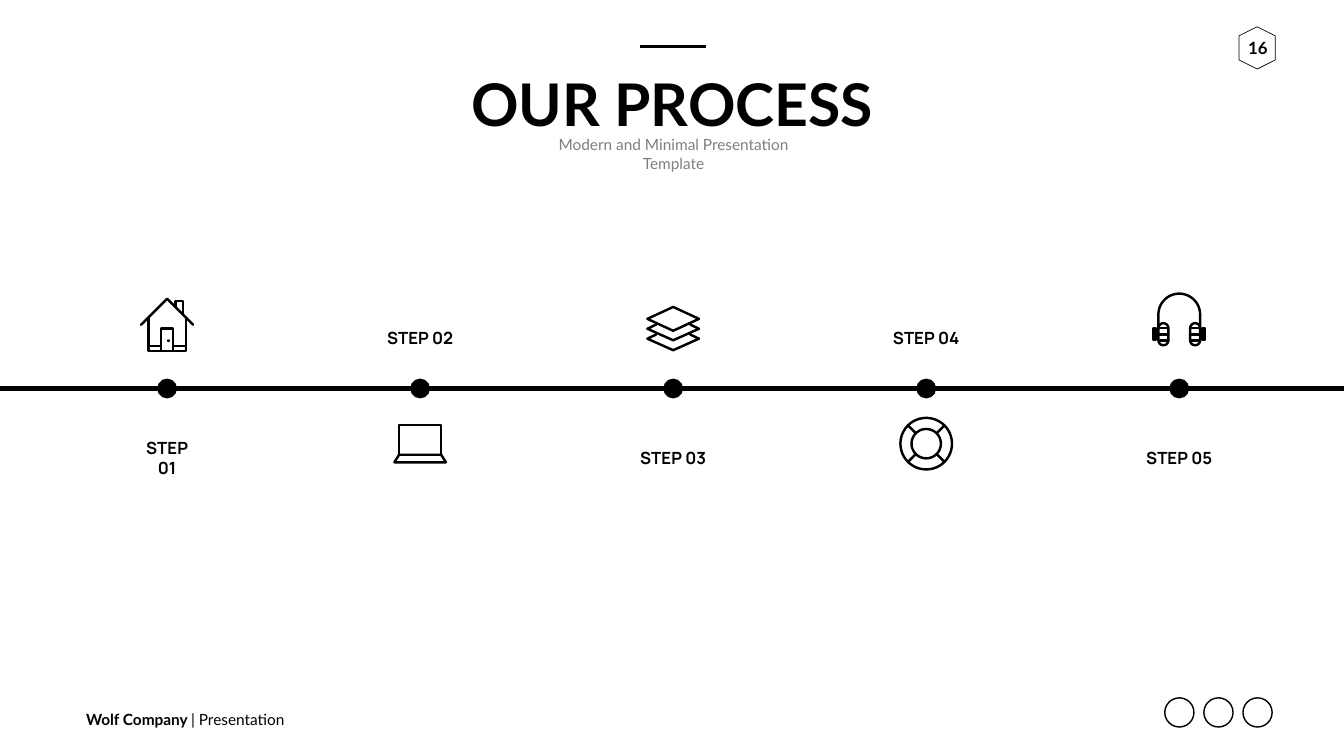
from dataclasses import dataclass
from math import cos, pi, sin
from typing import Callable

from lxml.etree import SubElement
from pptx import Presentation
from pptx.dml.color import RGBColor
from pptx.enum.shapes import MSO_CONNECTOR, MSO_SHAPE
from pptx.enum.text import MSO_ANCHOR, PP_ALIGN
from pptx.oxml.ns import qn
from pptx.util import Cm, Pt

COLORS = {"ink": "000000", "muted": "7F7F7F"}
SLIDE_WIDTH, SLIDE_HEIGHT = 67.72, 38.1
LINE_Y = 19.58
FIRST_STEP_X, STEP_GAP = 8.42, 12.75
LABEL_ABOVE_Y, LABEL_BELOW_Y = 17.02, 23.09
DOT_SIZE = 1.0
ICON_STROKE = 3.5

Point = tuple[float, float]


@dataclass(frozen=True)
class Stroke:
    """One part of an icon, in cm from the icon's centre."""
    points: list[Point]
    closed: bool = False


@dataclass(frozen=True)
class TextStyle:
    size: float
    font: str = "Lato"
    bold: bool = False
    color: str = "ink"


@dataclass(frozen=True)
class Step:
    label: str
    label_width: float
    icon_y: float
    icon: Callable[[], list[Stroke]]


def color(name: str) -> RGBColor:
    return RGBColor.from_string(COLORS[name])


# Icon geometry
def arc(x: float, y: float, radius: float, start: float, end: float) -> list[Point]:
    count = 48
    angles = [start + (end - start) * i / count for i in range(count + 1)]
    return [(x + radius * cos(a), y + radius * sin(a)) for a in angles]


def circle(x: float, y: float, radius: float) -> Stroke:
    return Stroke(arc(x, y, radius, 0, 2 * pi), True)


def box(left: float, top: float, right: float, bottom: float) -> Stroke:
    return Stroke([(left, top), (right, top), (right, bottom), (left, bottom)], True)


def house() -> list[Stroke]:
    return [
        Stroke([(-1.31, 0), (0, -1.31), (1.31, 0)]),
        Stroke([(-0.94, -0.36), (-0.94, 1.32), (0.94, 1.32), (0.94, -0.36)]),
        Stroke([(0.43, -0.9), (0.43, -1.19), (0.81, -1.19), (0.81, -0.52)]),
        box(-0.31, 0.18, 0.31, 1.32),
        Stroke([(-0.94, 1.07), (-0.31, 1.07)]),
        Stroke([(0.31, 1.07), (0.94, 1.07)]),
        circle(0.07, 0.8, 0.01),
    ]


def laptop() -> list[Stroke]:
    base = [(-1.06, 0.56), (1.06, 0.56), (1.3, 0.94), (-1.3, 0.94)]
    return [box(-1.06, -0.94, 1.06, 0.56), Stroke(base, True)]


def layers() -> list[Stroke]:
    top = Stroke([(0, -1.1), (1.3, -0.5), (0, 0.1), (-1.3, -0.5)], True)
    lower = [
        Stroke([(-0.86, y - 0.21), (-1.3, y), (0, y + 0.58), (1.3, y), (0.86, y - 0.21)])
        for y in (0, 0.5)
    ]
    return [top, *lower]


def lifebuoy() -> list[Stroke]:
    spokes = [
        Stroke([(0.52 * x, 0.52 * y), (0.92 * x, 0.92 * y)])
        for x in (-1, 1) for y in (-1, 1)
    ]
    return [circle(0, 0, 1.3), circle(0, 0, 0.74), *spokes]


def headphones() -> list[Stroke]:
    band = [(-1.05, 0.4), *arc(0, -0.24, 1.05, pi, 2 * pi), (1.05, 0.4)]
    strokes = [Stroke(band)]
    for side in (-1, 1):
        x = 0.8 * side
        pad = arc(x, 0.45, 0.25, pi, 2 * pi) + arc(x, 1.06, 0.25, 0, pi)
        strokes.append(Stroke(pad, True))
        strokes += [Stroke([(x - 0.25, y), (x + 0.25, y)]) for y in (0.44, 0.76, 1.07)]
        strokes.append(box(1.17 * side, 0.44, 1.29 * side, 1.06))
    return strokes


STEPS = [
    Step("STEP 01", 3.68, 16.37, house),
    Step("STEP 02", 3.91, 22.36, laptop),
    Step("STEP 03", 3.91, 16.57, layers),
    Step("STEP 04", 3.91, 22.36, lifebuoy),
    Step("STEP 05", 3.91, 16.09, headphones),
]


# Drawing functions
def add_text(slide, left: float, top: float, width: float, height: float,
             runs: list[tuple[str, TextStyle]], align=PP_ALIGN.CENTER,
             wrap: bool = True) -> None:
    text_box = slide.shapes.add_textbox(Cm(left), Cm(top), Cm(width), Cm(height))
    frame = text_box.text_frame
    frame.word_wrap = wrap
    frame.vertical_anchor = MSO_ANCHOR.MIDDLE
    paragraph = frame.paragraphs[0]
    paragraph.alignment = align
    for text, style in runs:
        run = paragraph.add_run()
        run.text = text
        formats = {"name": style.font, "size": Pt(style.size), "bold": style.bold}
        for attribute, value in formats.items():
            setattr(run.font, attribute, value)
        run.font.color.rgb = color(style.color)


def outline(shape, width: float) -> None:
    shape.shadow.inherit = False
    shape.fill.background()
    shape.line.color.rgb = color("ink")
    shape.line.width = Pt(width)


def add_preset(slide, kind, left: float, top: float, width: float, height: float):
    return slide.shapes.add_shape(kind, Cm(left), Cm(top), Cm(width), Cm(height))


def add_rule(slide, left: float, right: float, y: float, width: float) -> None:
    line = slide.shapes.add_connector(
        MSO_CONNECTOR.STRAIGHT, Cm(left), Cm(y), Cm(right), Cm(y))
    line.line.color.rgb = color("ink")
    line.line.width = Pt(width)
    SubElement(line._element.spPr, qn("a:effectLst"))


def add_icon(slide, x: float, y: float, strokes: list[Stroke]) -> None:
    builder = None
    for stroke in strokes:
        first, *rest = [(Cm(x + dx), Cm(y + dy)) for dx, dy in stroke.points]
        if builder is None:
            builder = slide.shapes.build_freeform(*first)
        else:
            builder.move_to(*first)
        builder.add_line_segments(rest, close=stroke.closed)
    shape = builder.convert_to_shape()
    outline(shape, ICON_STROKE)
    line = shape.line._get_or_add_ln()
    line.set("cap", "rnd")
    SubElement(line, qn("a:round"))


def add_step(slide, index: int, step: Step) -> None:
    x = FIRST_STEP_X + index * STEP_GAP
    dot = add_preset(slide, MSO_SHAPE.OVAL, x - DOT_SIZE / 2, LINE_Y - DOT_SIZE / 2,
                     DOT_SIZE, DOT_SIZE)
    dot.shadow.inherit = False
    dot.fill.solid()
    dot.fill.fore_color.rgb = color("ink")
    dot.line.fill.background()
    add_icon(slide, x, step.icon_y, step.icon())
    label_y = LABEL_ABOVE_Y if index % 2 else LABEL_BELOW_Y
    add_text(slide, x - step.label_width / 2, label_y - 0.64, step.label_width, 1.27,
             [(step.label, TextStyle(24, "Manrope", True))])


def main() -> None:
    presentation = Presentation()
    presentation.slide_width = Cm(SLIDE_WIDTH)
    presentation.slide_height = Cm(SLIDE_HEIGHT)
    slide = presentation.slides.add_slide(presentation.slide_layouts[6])

    # Footer and plain rings for the social links
    add_text(slide, 4.09, 35.64, 10.59, 1.19,
             [("Wolf Company ", TextStyle(22, bold=True)),
              ("| Presentation", TextStyle(22))], PP_ALIGN.LEFT)
    for index in range(3):
        ring = add_preset(slide, MSO_SHAPE.OVAL, 58.69 + index * 1.97, 35.17, 1.47, 1.47)
        outline(ring, 2)

    # Page number
    hexagon = add_preset(slide, MSO_SHAPE.HEXAGON, 62.28, 1.5, 2.13, 1.83)
    hexagon.rotation = 90
    outline(hexagon, 1)
    add_text(slide, 62.18, 1.65, 2.41, 1.55, [("16", TextStyle(24, bold=True))])

    # Heading
    add_rule(slide, 32.26, 35.56, 2.34, 4.5)
    add_text(slide, 23.47, 3.25, 20.78, 3.84,
             [("OUR PROCESS", TextStyle(84, bold=True))], wrap=False)
    add_text(slide, 26.37, 7.16, 15.14, 1.19,
             [("Modern and Minimal Presentation Template", TextStyle(22, color="muted"))])

    # Timeline
    add_rule(slide, 0, SLIDE_WIDTH, LINE_Y, 6)
    for index, step in enumerate(STEPS):
        add_step(slide, index, step)

    presentation.save("out.pptx")


if __name__ == "__main__":
    main()
